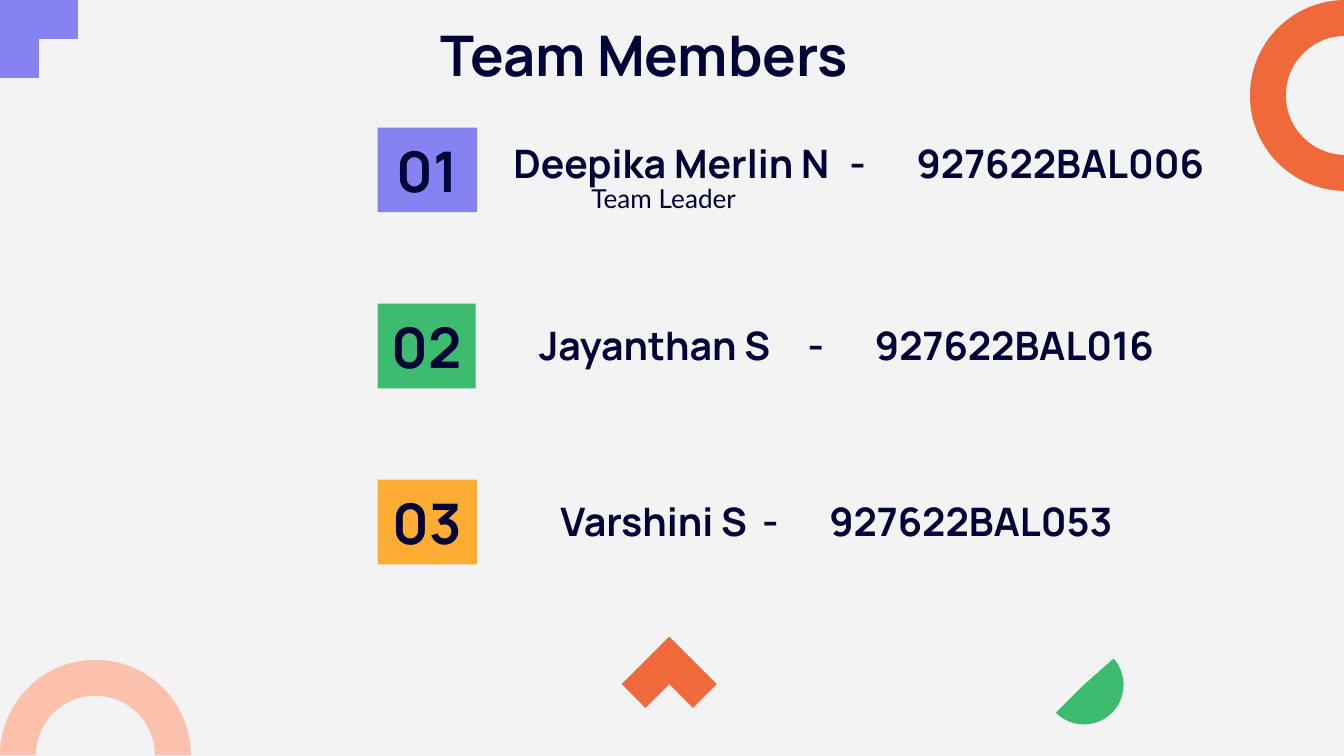
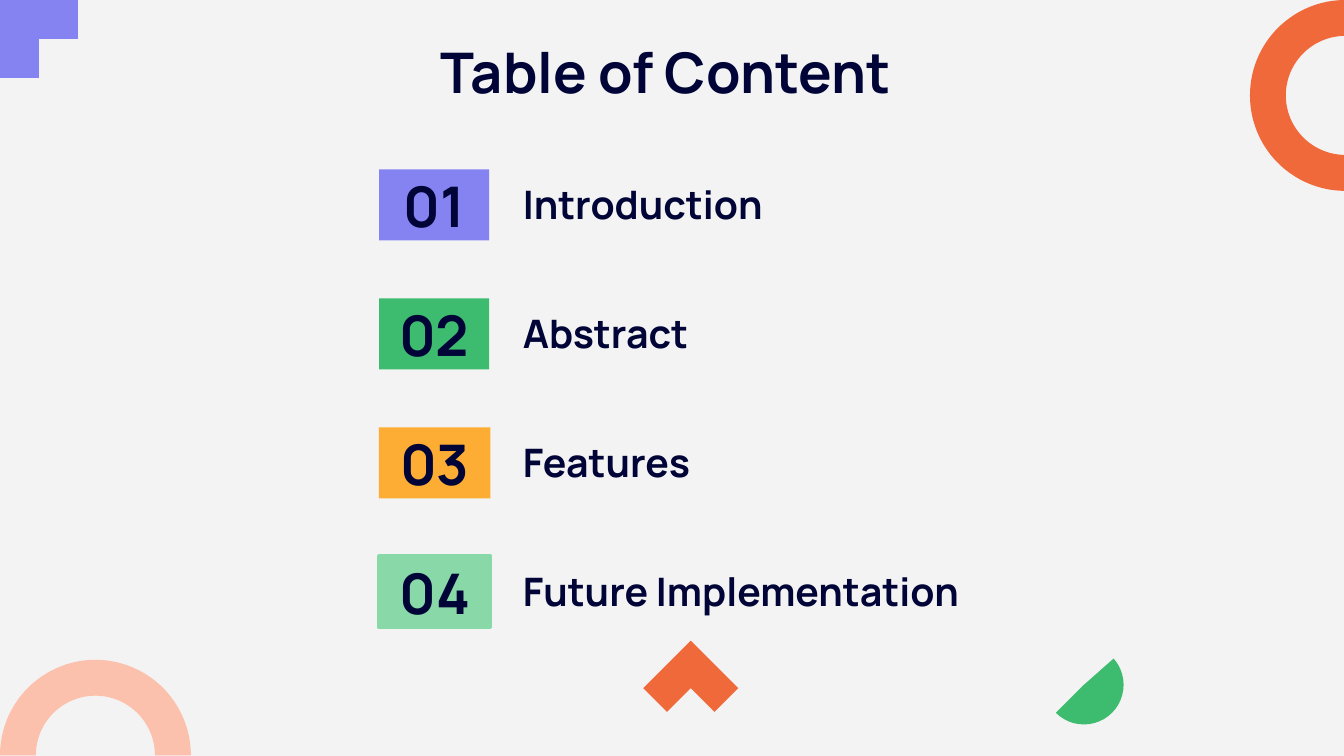
import pptx
import pptx.dml.color
import pptx.enum.shapes
import pptx.enum.text
import pptx.oxml.ns
import pptx.util

Inches = pptx.util.Inches
qn = pptx.oxml.ns.qn
SHAPE = pptx.enum.shapes.MSO_SHAPE
ANCHOR = pptx.enum.text.MSO_ANCHOR
ALIGN = pptx.enum.text.PP_ALIGN

HEX = {
    "paper": "F3F3F3", "ink": "000436", "violet": "8583F2", "green": "3DBC6F",
    "amber": "FEAD34", "mint": "89D9A8", "orange": "F0693B", "peach": "FCC1AD",
}
ARC = (108, 0.006, 0.188)
HALF = (0.5, 0.5)
DASH, CODE = 6.3, 6.51


def color(name):
    return pptx.dml.color.RGBColor.from_string(HEX[name])


def place(shape, left, top, width, height):
    shape.left, shape.top = Inches(left), Inches(top)
    shape.width, shape.height = Inches(width), Inches(height)


def write(shape, text, size, font="Manrope", bold=True, anchor=ANCHOR.TOP,
          align=ALIGN.LEFT, stops=()):
    frame = shape.text_frame
    frame.word_wrap = True
    frame.auto_size = pptx.enum.text.MSO_AUTO_SIZE.NONE
    frame.vertical_anchor = anchor
    frame.margin_left = frame.margin_right = Inches(0.1)
    frame.margin_top = frame.margin_bottom = Inches(0.1)
    frame.text = text
    para = frame.paragraphs[0]
    para.alignment = align
    para.space_before = pptx.util.Pt(0)
    props = para._p.get_or_add_pPr()
    props.set("marL", "0")
    props.set("indent", "0")
    props.append(props.makeelement(qn("a:buNone"), {}))
    if stops:
        tabs = props.makeelement(qn("a:tabLst"), {})
        for stop in stops:
            tabs.append(tabs.makeelement(
                qn("a:tab"), {"pos": str(Inches(stop)), "algn": "l"}))
        props.append(tabs)
    para.font.name = font
    para.font.size = pptx.util.Pt(size)
    para.font.bold = bold
    para.font.color.rgb = color("ink")


def draw(slide, kind, box, fill, adjust=(), turn=0, flips=()):
    shape = slide.shapes.add_shape(kind, *map(Inches, box))
    shape.shadow.inherit = False
    shape.fill.solid()
    shape.fill.fore_color.rgb = color(fill)
    shape.line.fill.background()
    for index, value in enumerate(adjust):
        shape.adjustments[index] = value
    shape.rotation = turn
    frame = shape.element.spPr.find(qn("a:xfrm"))
    for flip in flips:
        frame.set(flip, "1")
    return shape


def badge(slide, number, box, fill):
    shape = draw(slide, SHAPE.RECTANGLE, box, fill)
    write(shape, f"{number:02d}", 30, anchor=ANCHOR.MIDDLE, align=ALIGN.CENTER)
    return shape


def label(holder, text, box, stops=()):
    place(holder, *box)
    write(holder, text, 21, anchor=ANCHOR.BOTTOM, stops=stops)


def decor(slide, left, top):
    draw(slide, SHAPE.BLOCK_ARC, (9.3, 0, 1.42, 1.42), "orange", ARC, 270, ["flipH"])
    draw(slide, SHAPE.BLOCK_ARC, (0, 4.91, 1.42, 1.42), "peach", ARC)
    draw(slide, SHAPE.PIE, (7.77, 4.8, 0.59, 0.59), "green", (56.115, 162), 225)
    draw(slide, SHAPE.CORNER, (0, 0, 0.58, 0.58), "violet", HALF, 90)
    draw(slide, SHAPE.CORNER, (left, top, 0.5, 0.5), "orange", HALF, 315,
         ["flipH", "flipV"])


def start(deck, title, top, width, arrow):
    slide = deck.slides.add_slide(deck.slide_layouts.get_by_name("Comparison"))
    decor(slide, *arrow)
    place(slide.shapes.title, 3.18, top, width, 0.63)
    write(slide.shapes.title, title, 30)
    return slide


def team(deck):
    slide = start(deck, "Team Members", 0.05, 3.64, (4.73, 4.84))
    people = [
        ("Deepika Merlin N", "927622BAL006", (3.72, 0.96, 5.54, 0.53), "violet", 0.74),
        ("Jayanthan S", "927622BAL016", (3.91, 2.31, 5.22, 0.53), "green", 0.73),
        ("Varshini S", "927622BAL053", (4.07, 3.62, 5.06, 0.53), "amber", 0.74),
    ]
    for index, (name, code, box, fill, width) in enumerate(people):
        edge = box[0] + 0.1
        label(slide.placeholders[index + 1], f"{name}\t-\t{code}", box,
              (DASH - edge, CODE - edge))
        badge(slide, index + 1, (2.81, 0.95 + 1.31 * index, width, 0.63), fill)
    role = slide.placeholders[4]
    place(role, 4.3, 1.26, 1.4, 0.37)
    write(role, "Team Leader", 14, font="Lato", bold=False)


def agenda(deck):
    slide = start(deck, "Table of Content", 0.18, 3.91, (4.89, 4.87))
    topics = [
        ("Introduction", 2.72, "violet", 0.82),
        ("Abstract", 2.56, "green", 0.82),
        ("Features", 1.82, "amber", 0.83),
        ("Future Implementation", 4.03, "mint", 0.83),
    ]
    for index, (topic, width, fill, side) in enumerate(topics):
        top = 1.26 + 0.96 * index
        label(slide.placeholders[index + 1], topic, (3.79, top, width, 0.53))
        box = badge(slide, index + 1, (2.82, top, side, 0.53), fill)
    box.line.color.rgb = color("mint")
    box.line.width = pptx.util.Pt(2)


def main():
    deck = pptx.Presentation()
    deck.slide_width = Inches(10)
    deck.slide_height = deck.slide_width * 9 // 16
    back = deck.slide_master.background.fill
    back.solid()
    back.fore_color.rgb = color("paper")
    team(deck)
    agenda(deck)
    deck.save("out.pptx")


if __name__ == "__main__":
    main()
